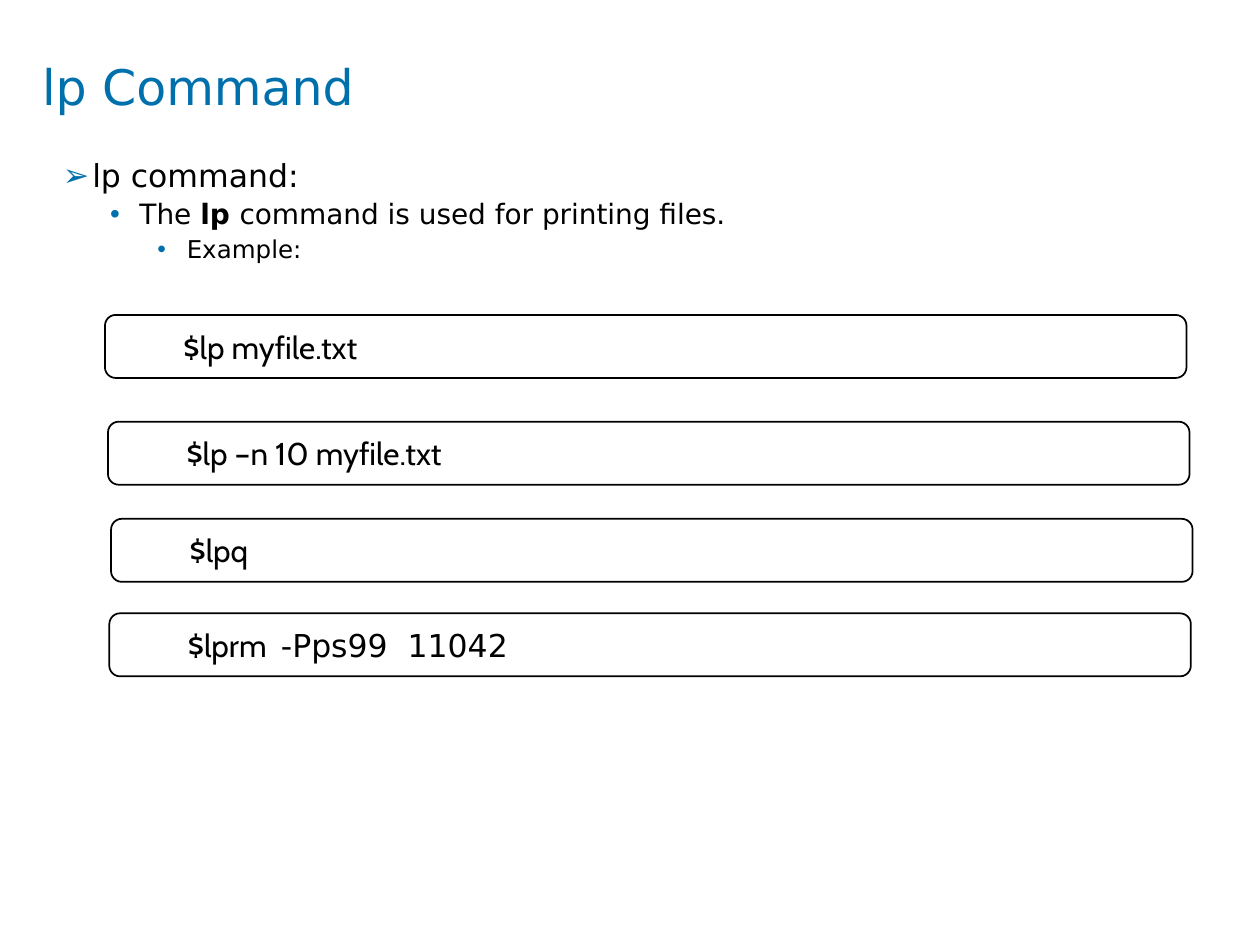
from lxml import etree
from pptx import Presentation
from pptx.dml.color import RGBColor
from pptx.enum.shapes import MSO_SHAPE as Shape
from pptx.enum.text import MSO_ANCHOR as Anchor, PP_ALIGN as Align
from pptx.oxml.ns import qn
from pptx.util import Pt

COLORS = {"accent": "0070AD", "text": "000000", "background": "FFFFFF"}
SANS, COMMAND_FONT = "DejaVu Sans", "Cabin"
INDENT_STEP, HANGING = 27, 16.75


def color(name):
    return RGBColor.from_string(COLORS[name])


def add_run(paragraph, text, size, font=SANS, color_name="text", bold=False):
    run = paragraph.add_run()
    run.text = text
    run.font.name = font
    run.font.size = Pt(size)
    run.font.bold = bold
    run.font.color.rgb = color(color_name)


def set_margins(frame):
    frame.margin_left = frame.margin_right = 0
    frame.margin_top = frame.margin_bottom = 0


def set_bullet(paragraph, level, character):
    """Give the paragraph a coloured bullet and the hanging indent of its level."""
    paragraph.level = level
    properties = paragraph._p.get_or_add_pPr()
    properties.set("marL", str(Pt(HANGING + INDENT_STEP * level)))
    properties.set("indent", str(-Pt(HANGING)))
    bullet_color = etree.SubElement(properties, qn("a:buClr"))
    etree.SubElement(bullet_color, qn("a:srgbClr"), val=COLORS["accent"])
    etree.SubElement(properties, qn("a:buFont"), typeface="Arial")
    etree.SubElement(properties, qn("a:buChar"), char=character)


def place_title(slide, text, left, top, width, height):
    title = slide.shapes.title
    title.left, title.top, title.width, title.height = map(
        Pt, (left, top, width, height))
    frame = title.text_frame
    set_margins(frame)
    frame.vertical_anchor = Anchor.TOP
    paragraph = frame.paragraphs[0]
    paragraph.alignment = Align.LEFT
    add_run(paragraph, text, 28, color_name="accent")


def add_outline(slide, items, left, top, width, height):
    """Add bulleted paragraphs, one level deeper for each item."""
    box = slide.shapes.add_textbox(*map(Pt, (left, top, width, height)))
    frame = box.text_frame
    frame.word_wrap = True
    set_margins(frame)
    for level, (bullet, size, space_before, runs) in enumerate(items):
        paragraph = frame.add_paragraph() if level else frame.paragraphs[0]
        paragraph.alignment = Align.JUSTIFY
        paragraph.line_spacing = 0.9
        paragraph.space_before = Pt(space_before)
        set_bullet(paragraph, level, bullet)
        for text, bold in runs:
            add_run(paragraph, text, size, bold=bold)


def add_command_box(slide, runs, left, top, width, height):
    box = slide.shapes.add_shape(
        Shape.ROUNDED_RECTANGLE, *map(Pt, (left, top, width, height)))
    box.adjustments[0] = 0.17
    box.shadow.inherit = False
    box.fill.solid()
    box.fill.fore_color.rgb = color("background")
    box.line.color.rgb = color("text")
    box.line.width = Pt(1)
    frame = box.text_frame
    frame.word_wrap = False
    frame.vertical_anchor = Anchor.MIDDLE
    paragraph = frame.paragraphs[0]
    paragraph.alignment = Align.LEFT
    paragraph.level = 1
    properties = paragraph._p.get_or_add_pPr()
    properties.set("marL", str(Pt(36)))
    properties.set("indent", "0")
    for text, font in runs:
        add_run(paragraph, text, 18, font)


def build_slide(presentation):
    slide = presentation.slides.add_slide(presentation.slide_layouts[5])
    place_title(slide, "lp Command", 24, 32.5, 672, 67.5)
    add_outline(slide, [
        ("➢", 18, 7.5, [("lp command:", False)]),
        ("•", 16, 3.8, [("The ", False), ("lp ", True),
                        ("command is used for printing files.", False)]),
        ("•", 14, 3.8, [("Example:", False)]),
    ], 36, 91.5, 648, 391)
    commands = [
        (60, 180, [("$lp myfile.txt", COMMAND_FONT)]),
        (61.75, 241, [("$lp –n 10 myfile.txt", COMMAND_FONT)]),
        (63.5, 296.5, [("$lpq", COMMAND_FONT)]),
        (62.5, 350.5, [("$lprm  ", COMMAND_FONT), ("-Pps99  11042", SANS)]),
    ]
    for left, top, runs in commands:
        add_command_box(slide, runs, left, top, 618, 36)


def main():
    presentation = Presentation()
    presentation.slide_width, presentation.slide_height = Pt(720), Pt(540)
    build_slide(presentation)
    presentation.save("out.pptx")


if __name__ == "__main__":
    main()
